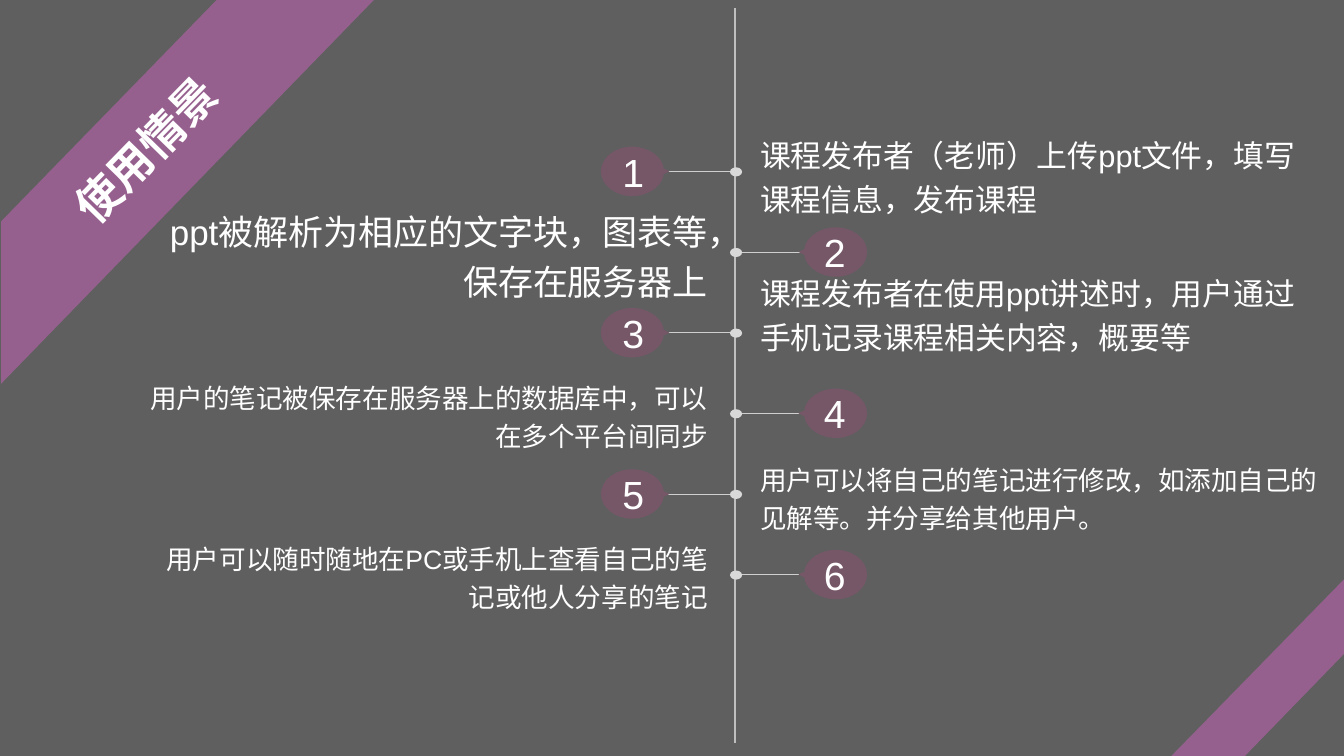
from math import cos, radians, sin

from lxml import etree
from pptx import Presentation
from pptx.dml.color import RGBColor
from pptx.enum.shapes import MSO_CONNECTOR, MSO_SHAPE
from pptx.enum.text import MSO_ANCHOR, PP_ALIGN
from pptx.oxml.ns import qn
from pptx.util import Pt

LEFT, CENTER, RIGHT = PP_ALIGN.LEFT, PP_ALIGN.CENTER, PP_ALIGN.RIGHT
MIDDLE = MSO_ANCHOR.MIDDLE
OVAL, STRAIGHT = MSO_SHAPE.OVAL, MSO_CONNECTOR.STRAIGHT

TITLE = "使用情景"
# text, size in points, distance in px that the text is raised
STEPS = [
    ("课程发布者（老师）上传ppt文件，填写课程信息，发布课程", 22, 0),
    ("ppt被解析为相应的文字块，图表等，保存在服务器上", 25, 0),
    ("课程发布者在使用ppt讲述时，用户通过手机记录课程相关内容，概要等", 22, 23),
    ("用户的笔记被保存在服务器上的数据库中，可以在多个平台间同步", 19, 0),
    ("用户可以将自己的笔记进行修改，如添加自己的见解等。并分享给其他用户。", 19, 0),
    ("用户可以随时随地在PC或手机上查看自己的笔记或他人分享的笔记", 19, 0),
]
# corners, centre and rotation of each corner ribbon
TITLE_RIBBON = [(372, -1), (1, 381), (1, 220), (216, -1)], (147, 151), 314.3
CORNER_RIBBON = [(1161, 750), (1333, 574), (1333, 648), (1234, 750)], (1266, 680), 134.3

FONT = "Arial"
BACKGROUND, PURPLE, PLUM = "5F5F5F", "96608E", "755767"
WHITE, DOT_GREY, AXIS_GREY, BRANCH_GREY = "FFFFFF", "D9D9D9", "BFBFBF", "CFCFCF"

# badge outline around its centre with the tip to the right; three points make a curve
BADGE_START = (0, -24.5)
BADGE_SEGMENTS = [
    [(15, -24.5), (28, -16), (31, -5)],
    [(31, -3)], [(37, 0)], [(31, 3)], [(31, 5)],
    [(28, 16), (15, 24.5), (0, 24.5)],
    [(-17, 24.5), (-31, 13.5), (-31, 0)],
    [(-31, -13.5), (-17, -24.5), (0, -24.5)],
]

PX = 9144  # 100 px to the inch
FINE = 100  # freeform units per px
WIDTH, HEIGHT = 1333, 750
AXIS_X, FIRST_Y, STEP_Y = 729, 170, 80
BRANCH_X, BRANCH_LENGTH = 730, 68
BADGE_X, BADGE_OFFSET = 728, 101
TEXT_WIDTH, TEXT_HEIGHT = 556, 52
LEFT_TEXT_X, RIGHT_TEXT_X = 146, 754


def color(value):
    return RGBColor.from_string(value)


def paint(shape, value):
    shape.shadow.inherit = False
    shape.fill.solid()
    shape.fill.fore_color.rgb = color(value)
    shape.line.fill.background()


def write(shape, text, size, align, spacing=1.0, bold=False, insets=(0, 0)):
    frame = shape.text_frame
    frame.word_wrap = True
    frame.vertical_anchor = MIDDLE
    frame.margin_left, frame.margin_right = (inset * PX for inset in insets)
    frame.margin_top = frame.margin_bottom = 0
    frame.text = text
    para = frame.paragraphs[0]
    para.alignment = align
    para.line_spacing = spacing
    font = para.runs[0].font
    font.name, font.size, font.bold = FONT, Pt(size), bold
    font.color.rgb = color(WHITE)


def add_line(slide, start, end, value, width):
    line = slide.shapes.add_connector(STRAIGHT, *(n * PX for n in start + end))
    line.line.color.rgb = color(value)
    line.line.width = Pt(width)
    etree.SubElement(line._element.spPr, qn("a:effectLst"))


def add_outline(slide, start, segments, value):
    """Draw a closed outline; a segment is one point (line) or three (curve)."""
    points = [(x * FINE, y * FINE) for segment in segments for x, y in segment]
    builder = slide.shapes.build_freeform(start[0] * FINE, start[1] * FINE, scale=PX / FINE)
    builder.add_line_segments(points, close=True)
    shape = builder.convert_to_shape()
    paint(shape, value)
    lines = iter(list(shape._element.iter(qn("a:lnTo"))))
    for segment in segments:
        first, *others = [next(lines) for _ in segment]
        if others:
            first.tag = qn("a:cubicBezTo")
        for other in others:
            first.append(other[0])
            other.getparent().remove(other)
    return shape


def add_ribbon(slide, corners, centre, angle):
    """Draw the band unrotated about its centre, then turn it into the corner."""
    turn = radians(-angle)
    flat = []
    for x, y in corners:
        dx, dy = x - centre[0], y - centre[1]
        flat.append((centre[0] + dx * cos(turn) - dy * sin(turn),
                     centre[1] + dx * sin(turn) + dy * cos(turn)))
    ribbon = add_outline(slide, flat[0], [[point] for point in flat[1:]], PURPLE)
    ribbon.rotation = angle
    return ribbon


def add_badge(slide, number, y, side):
    """Draw the numbered oval with its tip towards the axis."""
    x = BADGE_X + side * BADGE_OFFSET

    def place(point):
        return x - side * point[0], y + point[1]

    segments = [[place(point) for point in segment] for segment in BADGE_SEGMENTS]
    badge = add_outline(slide, place(BADGE_START), segments, PLUM)
    write(badge, str(number), 28, CENTER, insets=(4, 0) if side > 0 else (0, 4))


def add_step(slide, number, text, size, raised):
    y = FIRST_Y + (number - 1) * STEP_Y
    side = -1 if number % 2 else 1
    add_line(slide, (BRANCH_X + side, y), (BRANCH_X + side * BRANCH_LENGTH, y),
             BRANCH_GREY, 0.5)
    dot = slide.shapes.add_shape(OVAL, (AXIS_X - 5) * PX, (y - 4) * PX, 12 * PX, 9 * PX)
    paint(dot, DOT_GREY)
    add_badge(slide, number, y, side)
    x, align = (RIGHT_TEXT_X, LEFT) if side < 0 else (LEFT_TEXT_X, RIGHT)
    top = y + 1 - side - TEXT_HEIGHT // 2 - raised
    box = slide.shapes.add_textbox(x * PX, top * PX, TEXT_WIDTH * PX, TEXT_HEIGHT * PX)
    write(box, text, size, align, spacing=1.2)


def main():
    deck = Presentation()
    deck.slide_width, deck.slide_height = WIDTH * PX, HEIGHT * PX
    slide = deck.slides.add_slide(deck.slide_layouts[6])
    slide.background.fill.solid()
    slide.background.fill.fore_color.rgb = color(BACKGROUND)

    add_line(slide, (AXIS_X, 8), (AXIS_X, 737), AXIS_GREY, 1.75)
    add_ribbon(slide, *CORNER_RIBBON)
    write(add_ribbon(slide, *TITLE_RIBBON), TITLE, 32, CENTER, spacing=0.9, bold=True)
    for number, step in enumerate(STEPS, start=1):
        add_step(slide, number, *step)
    deck.save("out.pptx")


if __name__ == "__main__":
    main()
